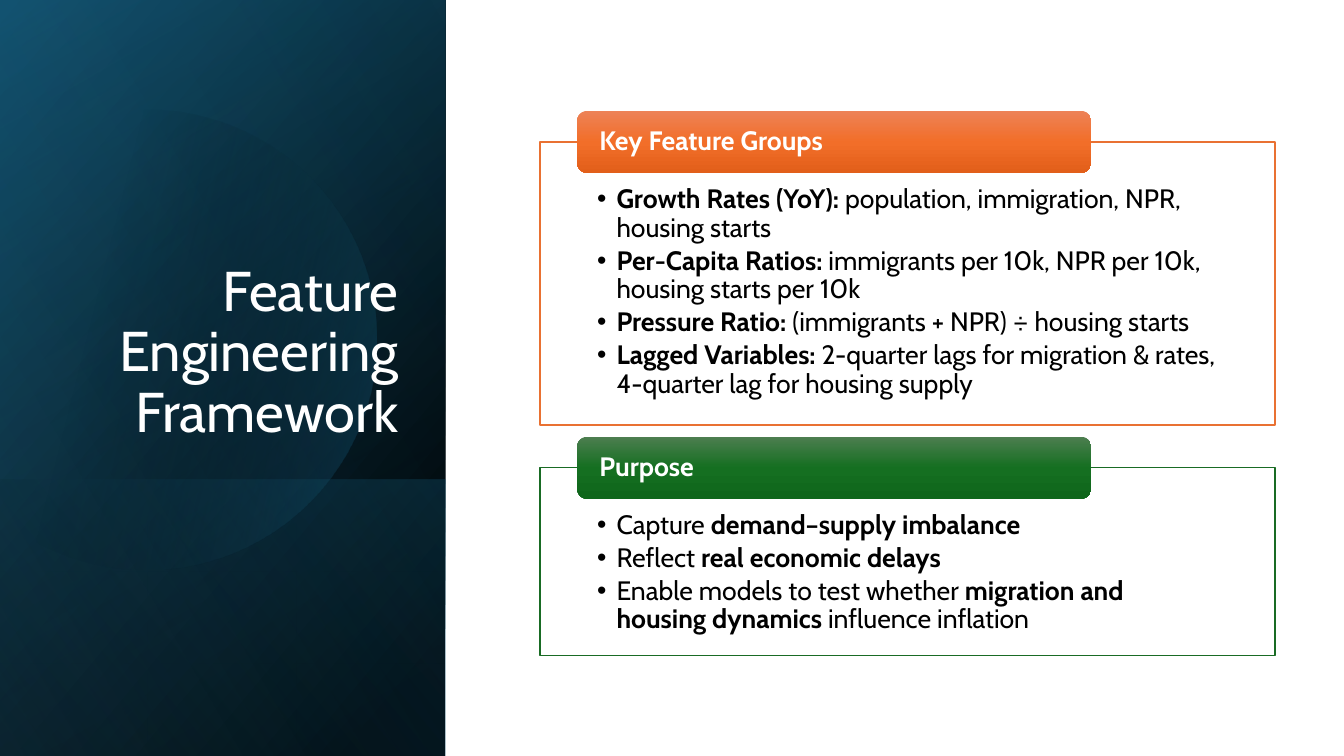
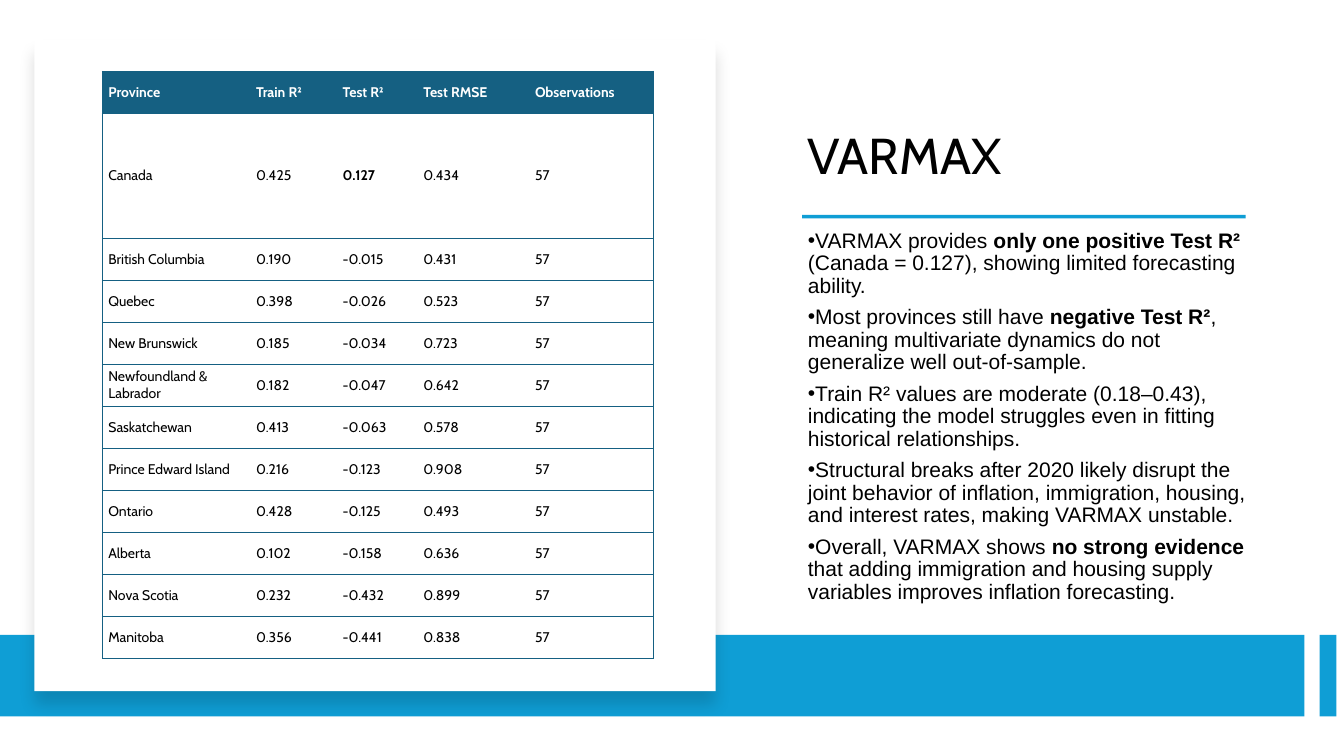
import math
from dataclasses import dataclass

from pptx import Presentation
from pptx import util as u
from pptx.dml.color import RGBColor
from pptx.enum import shapes, text
from pptx.oxml import parse_xml
from pptx.oxml.ns import nsdecls, qn


@dataclass(frozen=True)
class Theme:
    """Colours, fonts and type sizes shared by the slides."""
    ink: str = "000000"
    paper: str = "FFFFFF"
    teal: str = "156082"
    deep: str = "104862"
    sky: str = "46B1E1"
    blue: str = "0F9ED5"
    orange: str = "E97132"
    green: str = "196B24"
    orange_tab: tuple = ((0, "ED8257"), (50, "F26E29"), (100, "E25F1A"))
    green_tab: tuple = ((0, "4D7E50"), (50, "156F21"), (100, "0F661B"))
    font: str = "Cabin"
    body_font: str = "Arial"
    cover_size: int = 40
    title_size: int = 36
    card_size: int = 19
    body_size: int = 15
    table_size: int = 10


THEME = Theme()
COLUMNS = 160
MARGINS = ("margin_left", "margin_top", "margin_right", "margin_bottom")
LEFT, RIGHT = text.PP_ALIGN.LEFT, text.PP_ALIGN.RIGHT
TOP, MIDDLE, BOTTOM = (text.MSO_ANCHOR.TOP, text.MSO_ANCHOR.MIDDLE,
                       text.MSO_ANCHOR.BOTTOM)


def assign(target, values):
    """Set each named attribute of the target."""
    for name, value in values.items():
        setattr(target, name, value)


def xml(markup):
    """Parse DrawingML whose outer tag holds the marker NS."""
    return parse_xml(markup.replace("NS", nsdecls("a"), 1))


class Deck:
    """Draws styled elements on the current slide, in cells of a 160 by 90 grid."""

    def __init__(self):
        """Start an empty widescreen deck."""
        self.show = Presentation()
        assign(self.show, {"slide_width": u.Inches(13.33),
                           "slide_height": u.Inches(7.5)})
        self.slide = None

    def new_slide(self):
        """Add a blank slide and make it current."""
        self.slide = self.show.slides.add_slide(self.show.slide_layouts[6])

    def cells(self, *counts):
        """Turn grid cells into lengths."""
        return [u.Emu(round(n * self.show.slide_width / COLUMNS)) for n in counts]

    def finish(self, shape, fill=None, line=None):
        """Give a shape a flat fill, an optional outline and no shadow."""
        shape.shadow.inherit = False
        if fill:
            shape.fill.solid()
            shape.fill.fore_color.rgb = RGBColor.from_string(fill)
        else:
            shape.fill.background()
        if line:
            shape.line.color.rgb = RGBColor.from_string(line)
            shape.line.width = u.Pt(1)
        else:
            shape.line.fill.background()
        return shape

    def block(self, box, fill=None, line=None, rounded=False):
        """Draw a rectangle, square or rounded."""
        kind = shapes.MSO_SHAPE.ROUNDED_RECTANGLE if rounded else shapes.MSO_SHAPE.RECTANGLE
        return self.finish(
            self.slide.shapes.add_shape(kind, *self.cells(*box)), fill, line)

    def shade(self, shape, stops, angle):
        """Fill a shape with a gradient of (position, colour, opacity) stops."""
        marks = "".join(
            f'<a:gs pos="{at * 1000}"><a:srgbClr val="{colour}">'
            f'<a:alpha val="{(opacity or [100])[0] * 1000}"/></a:srgbClr></a:gs>'
            for at, colour, *opacity in stops)
        shape.fill.background()
        props = shape._element.spPr
        props.replace(props.find(qn("a:noFill")), xml(
            f'<a:gradFill NS rotWithShape="1"><a:gsLst>{marks}</a:gsLst>'
            f'<a:lin ang="{angle * 60000}" scaled="0"/></a:gradFill>'))

    def turned_panel(self, box, stops, angle):
        """Draw a gradient panel, turned a quarter and mirrored, that covers the box."""
        left, top, width, height = box
        shift = (width - height) / 2
        panel = self.block((left + shift, top - shift, height, width))
        panel.rotation = 90
        panel._element.spPr.xfrm.set("flipH", "1")
        self.shade(panel, stops, angle)

    def glow(self, centre_x, centre_y, radius, stops, angle):
        """Draw a gradient disc cut off at the left edge of the slide."""
        reach = math.acos(-centre_x / radius)
        turns = [reach * (step / 60 - 1) for step in range(121)]
        rim = [self.cells(centre_x + radius * math.cos(turn),
                          centre_y + radius * math.sin(turn)) for turn in turns]
        outline = self.slide.shapes.build_freeform(*rim[0])
        outline.add_line_segments(rim[1:], close=True)
        self.shade(self.finish(outline.convert_to_shape()), stops, angle)

    def cast_shadow(self, shape):
        """Drop a soft shadow straight below a shape."""
        effects = shape._element.spPr.find(qn("a:effectLst"))
        effects.append(xml(
            '<a:outerShdw NS blurRad="139700" dist="127000" dir="5400000" algn="t" '
            f'rotWithShape="0"><a:srgbClr val="{THEME.ink}"><a:alpha val="15000"/>'
            '</a:srgbClr></a:outerShdw>'))

    def typeset(self, frame, lines, size, colour=THEME.ink, font=THEME.font, anchor=TOP,
                align=LEFT, spacing=0.9, after=0, bold=False, hang=None):
        """Set paragraphs, switching weight at each ** and hanging bullets if asked."""
        assign(frame, {"word_wrap": True, "vertical_anchor": anchor})
        for number, line in enumerate(lines):
            paragraph = frame.add_paragraph() if number else frame.paragraphs[0]
            assign(paragraph, {"alignment": align, "line_spacing": spacing,
                               "space_after": u.Pt(after)})
            if hang is not None:
                props = paragraph._p.get_or_add_pPr()
                indent, = self.cells(hang)
                props.set("marL", str(indent))
                props.set("indent", str(-indent))
                props.append(xml(f'<a:buFont NS typeface="{THEME.body_font}"/>'))
                props.append(xml('<a:buChar NS char="•"/>'))
            for part, words in enumerate(line.split("**")):
                if words:
                    run = paragraph.add_run()
                    run.text = words
                    assign(run.font, {"name": font, "size": u.Pt(size),
                                      "bold": bold or part % 2 == 1})
                    run.font.color.rgb = RGBColor.from_string(colour)

    def text(self, box, lines, size, **style):
        """Set paragraphs in a text box."""
        frame = self.slide.shapes.add_textbox(*self.cells(*box)).text_frame
        self.typeset(frame, lines, size, **style)

    def title(self, box, words, size, **style):
        """Set a slide title that stands on the foot of its box."""
        self.text(box, [words], size, anchor=BOTTOM, **style)

    def card(self, top, height, heading, points, line, tab_stops):
        """Draw an outlined list with a heading tab across its top edge."""
        tab_height = 7.4
        body = self.block((64.3, top, 87.5, height), THEME.paper, line).text_frame
        assign(body, dict(zip(MARGINS, self.cells(6.8, 5.2, 6.8, 1.8))))
        self.typeset(body, points, THEME.card_size, after=3, hang=2.3)
        tab = self.block((68.7, top - tab_height / 2, 61.2, tab_height), rounded=True)
        self.shade(tab, tab_stops, 90)
        assign(tab.text_frame, dict(zip(MARGINS, self.cells(2.3, 0, 2.3, 0))))
        self.typeset(tab.text_frame, [heading], THEME.card_size, colour=THEME.paper,
                     anchor=MIDDLE, bold=True)

    def rule_cell(self, cell, first, last):
        """Rule a cell above and below, and at the sides of the table."""
        props = cell._tc.get_or_add_tcPr()
        ink = f'<a:solidFill><a:srgbClr val="{THEME.teal}"/></a:solidFill>'
        for place, (side, drawn) in enumerate(
                {"L": first, "R": last, "T": True, "B": True}.items()):
            props.insert(place, xml(f'<a:ln{side} NS w="12700">'
                                    f'{ink if drawn else "<a:noFill/>"}</a:ln{side}>'))

    def table(self, left, top, widths, heights, rows):
        """Draw a table with a filled heading row and ruled rows."""
        grid = self.slide.shapes.add_table(
            len(rows), len(widths),
            *self.cells(left, top, sum(widths), sum(heights))).table
        assign(grid, {"first_row": False, "horz_banding": False})
        for column, width in zip(grid.columns, self.cells(*widths)):
            column.width = width
        for row, height in zip(grid.rows, self.cells(*heights)):
            row.height = height
        for r, values in enumerate(rows):
            for c, value in enumerate(values):
                cell = grid.cell(r, c)
                assign(cell, dict(zip(MARGINS, self.cells(0.7, 0.4, 0.7, 0.4))))
                cell.fill.solid()
                cell.fill.fore_color.rgb = RGBColor.from_string(
                    THEME.paper if r else THEME.teal)
                self.rule_cell(cell, c == 0, c == len(widths) - 1)
                self.typeset(cell.text_frame, [value], THEME.table_size,
                             colour=THEME.ink if r else THEME.paper,
                             spacing=1.0, bold=r == 0)
                cell.vertical_anchor = MIDDLE


FEATURE_GROUPS = [
    "**Growth Rates (YoY):** population, immigration, NPR, housing starts",
    "**Per-Capita Ratios:** immigrants per 10k, NPR per 10k, housing starts per 10k",
    "**Pressure Ratio:** (immigrants + NPR) ÷ housing starts",
    "**Lagged Variables:** 2-quarter lags for migration & rates, "
    "4-quarter lag for housing supply",
]
PURPOSE = [
    "Capture **demand–supply imbalance**",
    "Reflect **real economic delays**",
    "Enable models to test whether **migration and housing dynamics** "
    "influence inflation",
]
FINDINGS = [
    "VARMAX provides **only one positive Test R²** (Canada = 0.127), "
    "showing limited forecasting ability.",
    "Most provinces still have **negative Test R²**, meaning multivariate dynamics "
    "do not generalize well out-of-sample.",
    "Train R² values are moderate (0.18–0.43), indicating the model struggles "
    "even in fitting historical relationships.",
    "Structural breaks after 2020 likely disrupt the joint behavior of inflation, "
    "immigration, housing, and interest rates, making VARMAX unstable.",
    "Overall, VARMAX shows **no strong evidence** that adding immigration and "
    "housing supply variables improves inflation forecasting.",
]
SCORES = [
    ("Province", "Train R²", "Test R²", "Test RMSE", "Observations"),
    ("Canada", "0.425", "**0.127**", "0.434", "57"),
    ("British Columbia", "0.190", "-0.015", "0.431", "57"),
    ("Quebec", "0.398", "-0.026", "0.523", "57"),
    ("New Brunswick", "0.185", "-0.034", "0.723", "57"),
    ("Newfoundland & Labrador", "0.182", "-0.047", "0.642", "57"),
    ("Saskatchewan", "0.413", "-0.063", "0.578", "57"),
    ("Prince Edward Island", "0.216", "-0.123", "0.908", "57"),
    ("Ontario", "0.428", "-0.125", "0.493", "57"),
    ("Alberta", "0.102", "-0.158", "0.636", "57"),
    ("Nova Scotia", "0.232", "-0.432", "0.899", "57"),
    ("Manitoba", "0.356", "-0.441", "0.838", "57"),
]


def feature_slide(deck):
    """Build the feature framework slide."""
    deck.new_slide()
    side = (0, 0, 53, 90)
    deck.turned_panel(side, [(8, THEME.ink), (100, THEME.deep)], 50)
    deck.turned_panel(side, [(0, THEME.ink, 0), (99, THEME.teal, 46)], 30)
    deck.turned_panel((0, 57.1, 53, 32.9),
                      [(2, THEME.teal, 29), (100, THEME.ink, 30)], 130)
    deck.glow(17.4, 40.4, 27.4, [(29, THEME.ink, 0), (100, THEME.teal, 43)], 14)
    deck.turned_panel(side, [(0, THEME.ink, 0), (99, THEME.sky, 11)], 120)
    deck.title((7.7, 22.1, 40.9, 31.4), "Feature Engineering Framework",
               THEME.cover_size, colour=THEME.paper, align=RIGHT)
    deck.card(16.9, 33.7, "Key Feature Groups", FEATURE_GROUPS,
              THEME.orange, THEME.orange_tab)
    deck.card(55.7, 22.4, "Purpose", PURPOSE, THEME.green, THEME.green_tab)


def varmax_slide(deck):
    """Build the VARMAX results slide."""
    deck.new_slide()
    deck.title((95, 7, 56.2, 15.7), "VARMAX", THEME.title_size)
    for left, width in ((0, 155.3), (157.1, 2)):
        deck.block((left, 75.6, width, 9.7), THEME.blue)
    deck.cast_shadow(deck.block((4.1, 4.7, 81.1, 77.6), THEME.paper))
    deck.block((95.5, 25.6, 52.8, 0.4), THEME.blue)
    deck.text((95, 26.6, 56.2, 46.1), FINDINGS, THEME.body_size, font=THEME.body_font,
              anchor=MIDDLE, after=6, hang=0)
    deck.table(12.2, 8.5, (17.6, 10.3, 9.6, 13.3, 14.8), (5, 14.9) + (5,) * 10, SCORES)


def main():
    """Build and save the deck."""
    deck = Deck()
    feature_slide(deck)
    varmax_slide(deck)
    deck.show.save("out.pptx")


if __name__ == "__main__":
    main()
